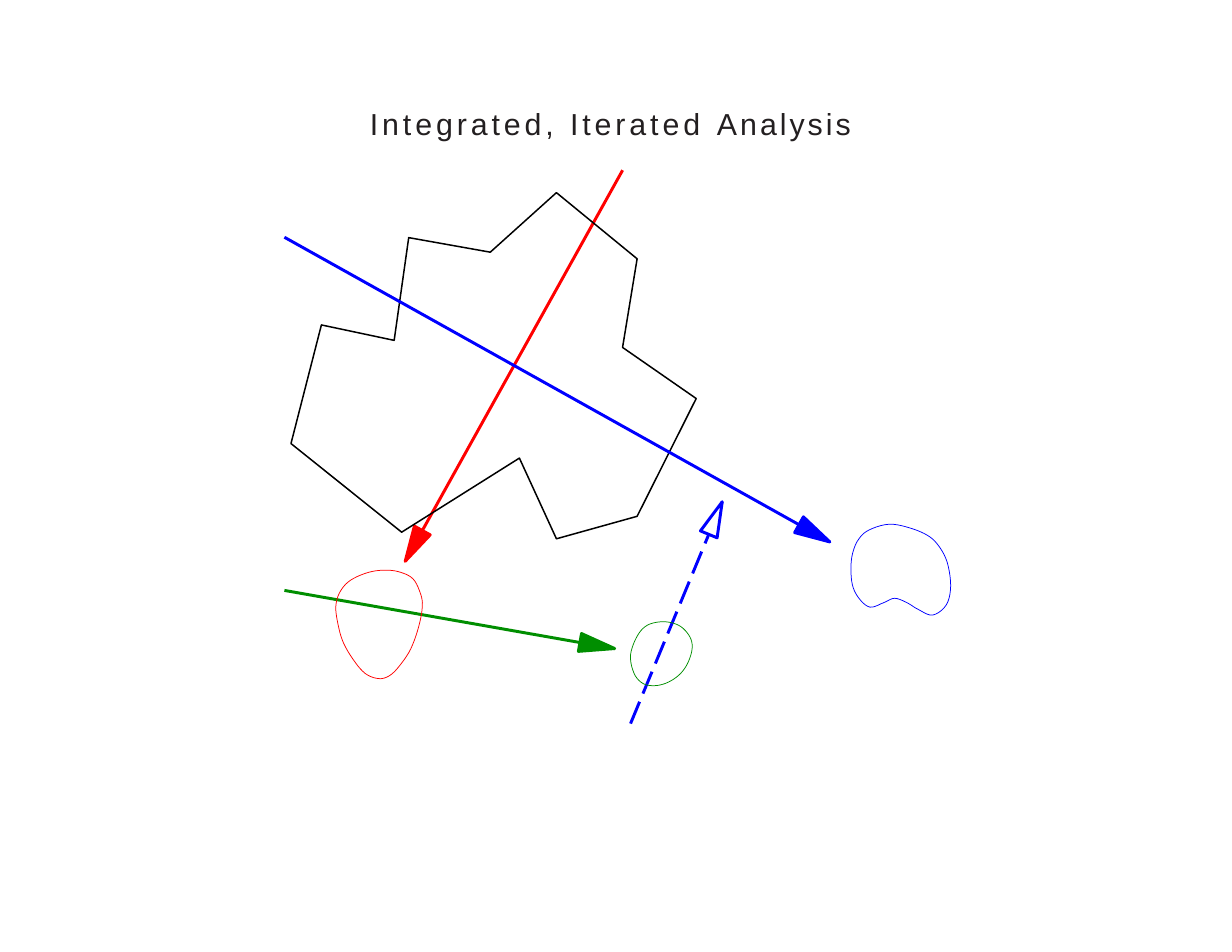
from math import hypot

from lxml.etree import SubElement
from pptx import Presentation
from pptx.dml.color import RGBColor
from pptx.enum.dml import MSO_LINE
from pptx.enum.shapes import MSO_CONNECTOR
from pptx.enum.text import MSO_AUTO_SIZE
from pptx.oxml.ns import qn
from pptx.util import Cm, Pt

COLORS = {
    "ink": "231F20",
    "black": "000000",
    "red": "FF0000",
    "green": "008E00",
    "blue": "0000FF",
    "white": "FFFFFF",
}
ARROW_WEIGHT = 1.89
HEAD_LENGTH, HEAD_WIDTH = 0.8, 0.41

SYSTEM = [
    (2.34, 3.35), (2.67, 1.02), (4.52, 1.35), (6.02, 0), (7.85, 1.5),
    (7.52, 3.51), (9.19, 4.67), (7.85, 7.34), (6.02, 7.85), (5.18, 6.02),
    (2.51, 7.7), (0, 5.69), (0.69, 3),
]
RED_LOOP = [
    (0, 0.79), (0.1, 0.48), (0.33, 0.23), (0.74, 0.05), (1.14, 0), (1.47, 0.05),
    (1.75, 0.2), (1.91, 0.51), (1.96, 0.81), (1.88, 1.27), (1.7, 1.78),
    (1.45, 2.16), (1.22, 2.39), (0.97, 2.46), (0.66, 2.34), (0.38, 2.01),
    (0.15, 1.6), (0.03, 1.14),
]
BLUE_LOOP = [
    (0.18, 0.33), (0.41, 0.13), (0.86, 0), (1.32, 0.08), (1.73, 0.25),
    (1.98, 0.48), (2.18, 0.86), (2.26, 1.4), (2.16, 1.83), (1.85, 2.06),
    (1.52, 1.93), (1.27, 1.78), (0.99, 1.68), (0.74, 1.78), (0.43, 1.88),
    (0.18, 1.68), (0.03, 1.37), (0, 0.94), (0.05, 0.61),
]
GREEN_LOOP = [
    (1.32, 0.3), (1.09, 0.08), (0.74, 0), (0.38, 0.08), (0.15, 0.33), (0, 0.76),
    (0.08, 1.17), (0.28, 1.4), (0.56, 1.45), (0.86, 1.37), (1.14, 1.17),
    (1.32, 0.89), (1.4, 0.56),
]


def rgb(name):
    """Return the named colour."""
    return RGBColor.from_string(COLORS[name])


def smooth_loop(knots, steps=5):
    """Return points on a closed Catmull-Rom curve through the knots."""
    curve = []
    for i in range(len(knots)):
        window = [knots[(i + shift) % len(knots)] for shift in (-1, 0, 1, 2)]
        for step in range(steps):
            t = step / steps
            curve.append(tuple(
                b + t * (c - a) / 2
                + t**2 * (a - 2.5 * b + 2 * c - d / 2)
                + t**3 * (3 * b - a - 3 * c + d) / 2
                for a, b, c, d in zip(*window)
            ))
    return curve


def draw_outline(slide, left, top, corners, line, weight, fill=None):
    """Draw a closed outline whose corners are measured from left and top."""
    first, *rest = [(Cm(left + x), Cm(top + y)) for x, y in corners]
    builder = slide.shapes.build_freeform(*first)
    builder.add_line_segments(rest, close=True)
    outline = builder.convert_to_shape()
    outline.shadow.inherit = False
    outline.line.color.rgb = rgb(line)
    outline.line.width = Pt(weight)
    if fill:
        outline.fill.solid()
        outline.fill.fore_color.rgb = rgb(fill)
    else:
        outline.fill.background()


def draw_arrow(slide, start, tip, color, head_fill=None, dash=None):
    """Draw a shaft from start to tip with a long triangular head."""
    shaft = slide.shapes.add_connector(
        MSO_CONNECTOR.STRAIGHT, *[Cm(value) for value in (*start, *tip)]
    )
    shaft.line.color.rgb = rgb(color)
    shaft.line.width = Pt(ARROW_WEIGHT)
    if dash:
        shaft.line.dash_style = dash
    SubElement(shaft._element.spPr, qn("a:effectLst"))

    run, rise = tip[0] - start[0], tip[1] - start[1]
    length = hypot(run, rise)
    ux, uy = run / length, rise / length
    barbs = [
        (-HEAD_LENGTH * ux - side * uy, -HEAD_LENGTH * uy + side * ux)
        for side in (HEAD_WIDTH / 2, -HEAD_WIDTH / 2)
    ]
    draw_outline(slide, *tip, [(0, 0), *barbs], color, ARROW_WEIGHT, head_fill or color)


def draw_title(slide, left, top, width, height):
    """Write the letter-spaced title in the given box."""
    title = slide.shapes.add_textbox(Cm(left), Cm(top), Cm(width), Cm(height))
    frame = title.text_frame
    frame.margin_left = frame.margin_right = frame.margin_top = frame.margin_bottom = 0
    frame.word_wrap = True
    frame.auto_size = MSO_AUTO_SIZE.SHAPE_TO_FIT_TEXT
    heading = frame.paragraphs[0]
    heading._p.get_or_add_pPr().set("marL", str(Cm(0.03)))
    for words, spacing in (("Integrated, Iterated ", 250), ("Analysis", 190)):
        phrase = heading.add_run()
        phrase.text = words
        phrase.font.name = "Arial"
        phrase.font.size = Pt(19.5)
        phrase.font.color.rgb = rgb("ink")
        phrase.font._element.set("spc", str(spacing))


def draw_diagram(slide, left, top):
    """Draw the system, the arrows of analysis and the loops they lead to."""
    def at(x, y):
        return left + x, top + y

    draw_arrow(slide, at(7.67, 0), at(2.74, 8.87), "red")
    draw_outline(slide, *at(0.15, 0.51), SYSTEM, "black", 0.95)
    draw_arrow(slide, at(0, 9.53), at(7.49, 10.85), "green")
    draw_arrow(slide, at(0, 1.52), at(12.37, 8.43), "blue")
    draw_arrow(slide, at(7.85, 12.55), at(9.93, 7.52), "blue", "white", MSO_LINE.LONG_DASH)
    for corner, knots, color in (
        (at(1.17, 9.07), RED_LOOP, "red"),
        (at(12.85, 8.03), BLUE_LOOP, "blue"),
        (at(7.85, 10.24), GREEN_LOOP, "green"),
    ):
        draw_outline(slide, *corner, smooth_loop(knots), color, 0.47)


def main():
    """Build the slide and save it."""
    deck = Presentation()
    deck.slide_width, deck.slide_height = Cm(27.94), Cm(21.59)
    slide = deck.slides.add_slide(deck.slide_layouts[6])
    draw_title(slide, 8.36, 2.39, 11.2, 0.86)
    draw_diagram(slide, 6.45, 3.86)
    deck.save("out.pptx")


if __name__ == "__main__":
    main()
